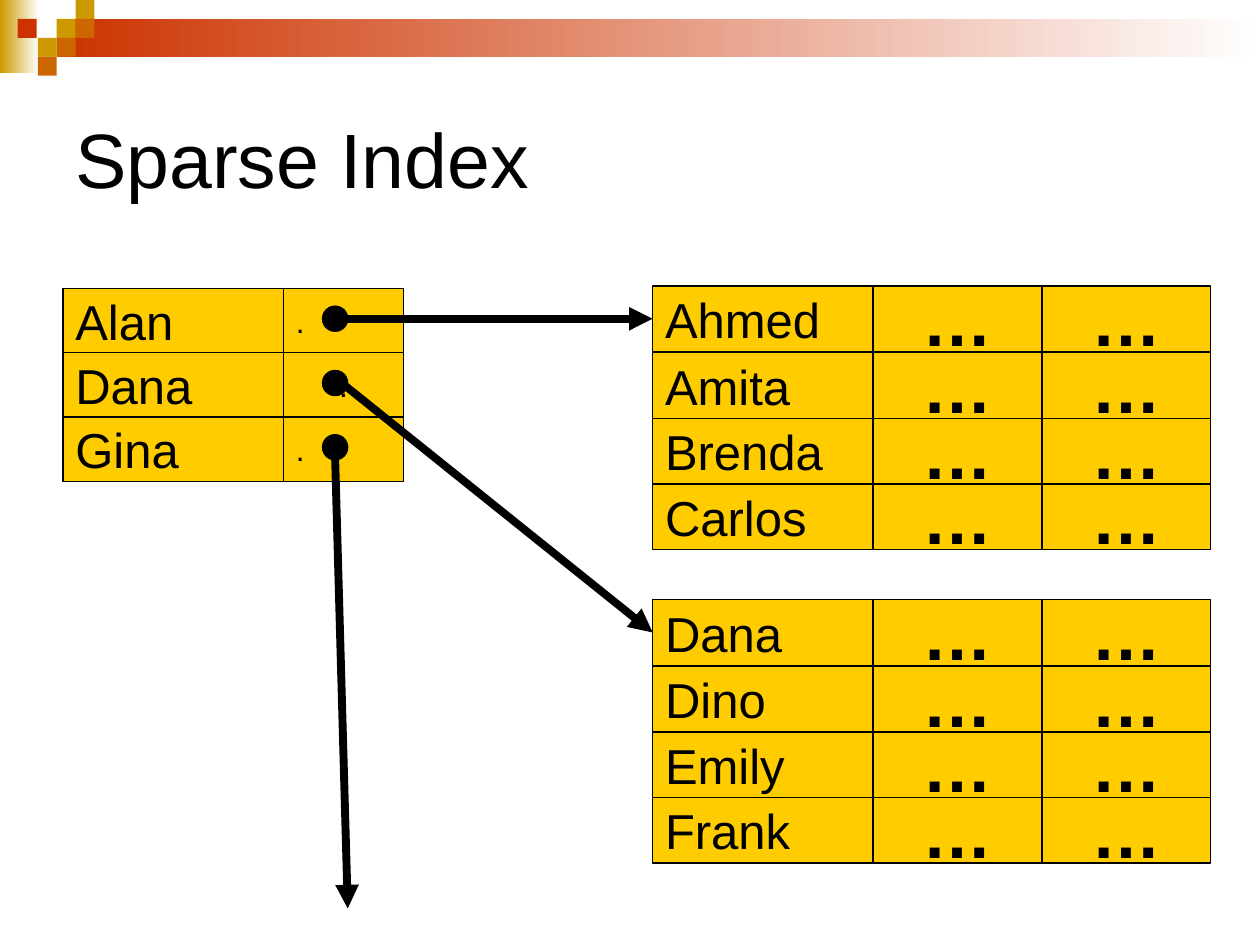
from dataclasses import dataclass
from typing import NamedTuple, Optional

from pptx import Presentation
from pptx.dml.color import RGBColor
from pptx.enum.shapes import MSO_CONNECTOR, MSO_SHAPE
from pptx.enum.text import MSO_ANCHOR, PP_ALIGN
from pptx.oxml import parse_xml
from pptx.oxml.ns import nsdecls
from pptx.shapes.autoshape import Shape
from pptx.shapes.connector import Connector
from pptx.slide import Slide
from pptx.util import Inches, Pt


@dataclass(frozen=True)
class Theme:
    font: str = "Arial"
    ink: str = "000000"
    paper: str = "FFFFFF"
    cell: str = "FFCC00"
    gold: str = "CC9900"
    orange: str = "CC6600"
    red: str = "CC3300"
    title_size: int = 44
    ellipsis_size: int = 40
    key_size: int = 28
    pointer_size: int = 18
    border: float = 0.75
    arrow: float = 4.5


class Box(NamedTuple):
    left: float
    top: float
    width: float
    height: float


class IndexEntry(NamedTuple):
    key: str
    pointer_align: PP_ALIGN


class Block(NamedTuple):
    top: float
    keys: tuple[str, ...]


class Tile(NamedTuple):
    left: float
    top: float
    color: str


THEME = Theme()
LEFT, CENTER = PP_ALIGN.LEFT, PP_ALIGN.CENTER

TILE_SIZE = 0.15
TILES = (
    Tile(0.45, 0.15, THEME.gold),
    Tile(0.6, 0, THEME.gold),
    Tile(0.6, 0.15, THEME.orange),
    Tile(0.3, 0.3, THEME.gold),
    Tile(0.14, 0.15, THEME.red),
    Tile(0.45, 0.3, THEME.orange),
    Tile(0.3, 0.45, THEME.orange),
)

KEY_WIDTH = 1.75
INDEX_LEFT, INDEX_TOP, INDEX_ROW = 0.5, 2.29, 0.51
POINTER_WIDTH = 0.95
DOT_SIZE, DOT_LEFT, DOT_DROP = 0.2, 2.56, 0.14
INDEX = (IndexEntry("Alan", LEFT), IndexEntry("Dana", CENTER), IndexEntry("Gina", LEFT))

BLOCK_LEFT, RECORD_ROW, FIRST_ROW_GAP = 5.18, 0.52, 0.01
FIELD_WIDTH, FIELD_COUNT = 1.34, 2
BLOCKS = (
    Block(2.27, ("Ahmed", "Amita", "Brenda", "Carlos")),
    Block(4.76, ("Dana", "Dino", "Emily", "Frank")),
)


def add_box(slide: Slide, box: Box, color: str, *, fade: bool = False,
            outlined: bool = False, kind: MSO_SHAPE = MSO_SHAPE.RECTANGLE) -> Shape:
    """Draw a filled shape; fade runs its colour to paper from left to right."""
    shape = slide.shapes.add_shape(kind, *map(Inches, box))
    shape.shadow.inherit = False
    if fade:
        shape.fill.gradient()
        shape.fill.gradient_angle = 0
        for stop, position, tint in zip(shape.fill.gradient_stops, (0, 1), (color, THEME.paper)):
            stop.position = position
            stop.color.rgb = RGBColor.from_string(tint)
    else:
        shape.fill.solid()
        shape.fill.fore_color.rgb = RGBColor.from_string(color)
    if outlined:
        shape.line.color.rgb = RGBColor.from_string(THEME.ink)
        shape.line.width = Pt(THEME.border)
    else:
        shape.line.fill.background()
    return shape


def write(shape: Shape, text: str, *, size: int, bold: bool = False,
          align: PP_ALIGN = LEFT) -> None:
    frame = shape.text_frame
    frame.word_wrap = True
    frame.vertical_anchor = MSO_ANCHOR.MIDDLE
    paragraph = frame.paragraphs[0]
    paragraph.alignment = align
    run = paragraph.add_run()
    run.text = text
    run.font.name = THEME.font
    run.font.size = Pt(size)
    run.font.bold = bold
    run.font.color.rgb = RGBColor.from_string(THEME.ink)


def add_cell(slide: Slide, box: Box, text: str, *, size: int, bold: bool = False,
             align: PP_ALIGN = LEFT) -> Shape:
    cell = add_box(slide, box, THEME.cell, outlined=True)
    write(cell, text, size=size, bold=bold, align=align)
    return cell


def add_arrow(slide: Slide, start: tuple[float, float], end: tuple[float, float],
              target: Optional[Shape] = None) -> Connector:
    """Draw an arrow, joined to the target's left side when one is given."""
    arrow = slide.shapes.add_connector(MSO_CONNECTOR.STRAIGHT, *map(Inches, start + end))
    if target is not None:
        arrow.end_connect(target, 1)
    arrow.line.color.rgb = RGBColor.from_string(THEME.ink)
    arrow.line.width = Pt(THEME.arrow)
    arrow.line._get_or_add_ln().append(
        parse_xml(f'<a:tailEnd {nsdecls("a")} type="triangle"/>'))
    arrow._element.spPr.append(parse_xml(f'<a:effectLst {nsdecls("a")}/>'))
    return arrow


def add_banner(slide: Slide) -> None:
    add_box(slide, Box(0, 0, 0.31, 0.58), THEME.gold, fade=True)
    add_box(slide, Box(0.45, 0.15, 9.55, 0.3), THEME.red, fade=True)
    for tile in TILES:
        add_box(slide, Box(tile.left, tile.top, TILE_SIZE, TILE_SIZE), tile.color)


def add_block(slide: Slide, block: Block) -> Shape:
    """Draw a data block and return the key cell of its first record."""
    key_cells = []
    for row, key in enumerate(block.keys):
        top = block.top + row * RECORD_ROW + (FIRST_ROW_GAP if row else 0)
        key_cells.append(add_cell(slide, Box(BLOCK_LEFT, top, KEY_WIDTH, RECORD_ROW),
                                  key, size=THEME.key_size))
        for field in range(FIELD_COUNT):
            left = BLOCK_LEFT + KEY_WIDTH + field * FIELD_WIDTH
            add_cell(slide, Box(left, top, FIELD_WIDTH, RECORD_ROW), "…",
                     size=THEME.ellipsis_size, bold=True, align=CENTER)
    return key_cells[0]


def add_index(slide: Slide) -> None:
    for row, entry in enumerate(INDEX):
        top = INDEX_TOP + row * INDEX_ROW
        add_cell(slide, Box(INDEX_LEFT, top, KEY_WIDTH, INDEX_ROW),
                 entry.key, size=THEME.key_size)
        add_cell(slide, Box(INDEX_LEFT + KEY_WIDTH, top, POINTER_WIDTH, INDEX_ROW), ".",
                 size=THEME.pointer_size, align=entry.pointer_align)
        add_box(slide, Box(DOT_LEFT, top + DOT_DROP, DOT_SIZE, DOT_SIZE), THEME.ink,
                outlined=True, kind=MSO_SHAPE.OVAL)


def main() -> None:
    presentation = Presentation()
    presentation.slide_width, presentation.slide_height = Inches(10), Inches(7.5)
    slide = presentation.slides.add_slide(presentation.slide_layouts[6])

    add_banner(slide)
    title = slide.shapes.add_textbox(*map(Inches, Box(0.5, 0.5, 9, 1.5)))
    write(title, "Sparse Index", size=THEME.title_size)
    ahmed, dana = [add_block(slide, block) for block in BLOCKS]
    add_index(slide)

    add_arrow(slide, (2.66, 2.53), (5.18, 2.53), ahmed)
    add_arrow(slide, (2.66, 3.64), (2.76, 7.21))
    add_arrow(slide, (2.7, 3.03), (5.18, 5.02), dana)
    presentation.save("out.pptx")


if __name__ == "__main__":
    main()
